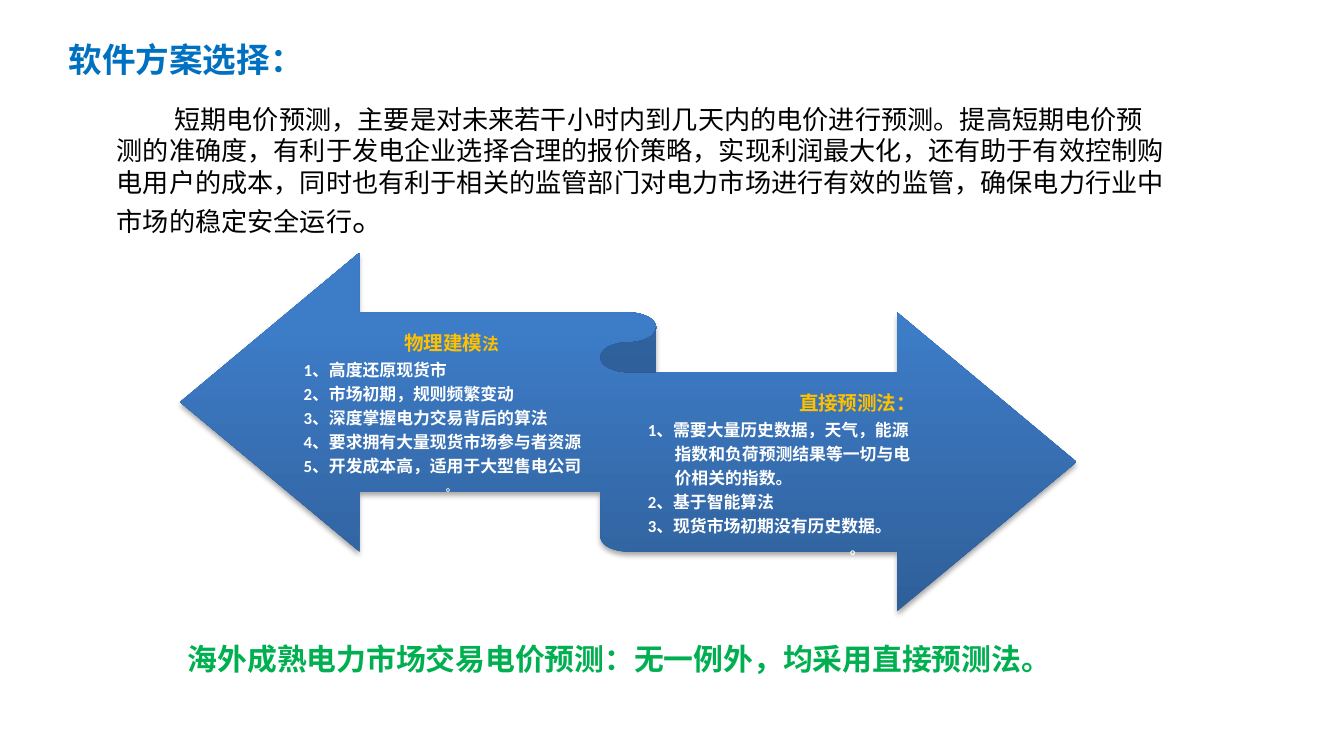
"""Build the slide on choosing a software approach for electricity price forecasting."""
from lxml.etree import SubElement
from pptx import Presentation
from pptx.dml.color import RGBColor
from pptx.enum.shapes import MSO_SHAPE
from pptx.enum.text import MSO_ANCHOR, PP_ALIGN
from pptx.oxml.ns import qn
from pptx.util import Inches, Pt

BLUE = RGBColor(0x00, 0x70, 0xC0)
GREEN = RGBColor(0x00, 0xB0, 0x50)
GOLD = RGBColor(0xFF, 0xC0, 0x00)
WHITE = RGBColor(0xFF, 0xFF, 0xFF)
BLACK = RGBColor(0x00, 0x00, 0x00)
RIBBON_STOPS = [(0, RGBColor(0x2F, 0x5F, 0x99)), (0.8, RGBColor(0x3D, 0x7C, 0xC7))]

TITLE = "软件方案选择："
INTRO = (
    "短期电价预测，主要是对未来若干小时内到几天内的电价进行预测。"
    "提高短期电价预测的准确度，有利于发电企业选择合理的报价策略，实现利润最大化，"
    "还有助于有效控制购电用户的成本，同时也有利于相关的监管部门对电力市场进行有效的监管，"
    "确保电力行业中市场的稳定安全运行"
)
CONCLUSION = "海外成熟电力市场交易电价预测：无一例外，均采用直接预测法。"
METHODS = [
    {
        "area": (2.26, 2.43, 2.2, 1.31),
        "bottom": 0.05,
        "heading": [("物理建模", 10.5), ("法", 9)],
        "lines": [
            ("1、高度还原现货市", 0),
            ("2、市场初期，规则频繁变动", 0),
            ("3、深度掌握电力交易背后的算法", 0),
            ("4、要求拥有大量现货市场参与者资源", 0),
            ("5、开发成本高，适用于大型售电公司", 0),
        ],
        "stop_size": 6,
    },
    {
        "area": (4.82, 2.97, 3.12, 1.31),
        "bottom": 0.21,
        "heading": [("直接预测法：", 10.5)],
        "lines": [
            ("1、需要大量历史数据，天气，能源", 0),
            ("指数和负荷预测结果等一切与电", 0.2),
            ("价相关的指数。", 0.2),
            ("2、基于智能算法", 0),
            ("3、现货市场初期没有历史数据。", 0),
        ],
        "stop_size": 8,
    },
]


def add_box(slide, area, margins=(0.1, 0.05, 0.1, 0.05), anchor=MSO_ANCHOR.TOP, wrap=True):
    frame = slide.shapes.add_textbox(*map(Inches, area)).text_frame
    frame.word_wrap = wrap
    frame.vertical_anchor = anchor
    frame.margin_left, frame.margin_top, frame.margin_right, frame.margin_bottom = map(Inches, margins)
    return frame


def style(font, size, color, bold=True, name="Calibri"):
    font.size, font.bold, font.name = Pt(size), bold, name
    font.color.rgb = color


def add_spans(para, spans, color, bold=True):
    for text, size in spans:
        span = para.add_run()
        span.text = text
        style(span.font, size, color, bold)


def add_ribbon(slide):
    ribbon = slide.shapes.add_shape(
        MSO_SHAPE.LEFT_RIGHT_RIBBON, Inches(1.34), Inches(1.88), Inches(6.67), Inches(2.67))
    ribbon.line.fill.background()
    ribbon.fill.gradient()
    ribbon.fill.gradient_angle = 90
    for stop, (position, color) in zip(ribbon.fill.gradient_stops, RIBBON_STOPS):
        stop.position = position
        stop.color.rgb = color
    ribbon.shadow.inherit = False
    effects = ribbon._element.spPr.find(qn("a:effectLst"))
    shadow = SubElement(effects, qn("a:outerShdw"), blurRad=str(Pt(3.1)), dist=str(Pt(1.8)),
                        dir="5400000", rotWithShape="0")
    shade = SubElement(shadow, qn("a:srgbClr"), val="000000")
    SubElement(shade, qn("a:alpha"), val="35000")


def add_method(slide, method):
    frame = add_box(slide, method["area"], (0, 0.04, 0, method["bottom"]), MSO_ANCHOR.MIDDLE)
    heading = frame.paragraphs[0]
    heading.alignment = PP_ALIGN.CENTER
    heading.space_after = Pt(3.7)
    add_spans(heading, method["heading"], GOLD)
    for text, indent in method["lines"]:
        para = frame.add_paragraph()
        para.text = text
        para._p.get_or_add_pPr().set("marL", str(Inches(indent)))
        para.space_after = Pt(3.15)
        style(para.font, 9, WHITE)
    size = method["stop_size"]
    closing = frame.add_paragraph()
    closing.text = "。"
    closing.alignment = PP_ALIGN.CENTER
    closing.space_after = Pt(size * 0.35)
    style(closing.font, size, WHITE)
    for para in frame.paragraphs:
        para.line_spacing = 0.9


def main():
    deck = Presentation()
    deck.slide_width = Inches(10)
    deck.slide_height = deck.slide_width * 9 // 16
    slide = deck.slides.add_slide(deck.slide_layouts[6])

    title = add_box(slide, (0.51, 0.29, 1.65, 0.3), (0, 0, 0, 0), MSO_ANCHOR.MIDDLE).paragraphs[0]
    title.text = TITLE
    style(title.font, 18, BLUE, name="Roboto Condensed")

    conclusion = add_box(slide, (1.3, 4.72, 6.99, 0.37), wrap=False).paragraphs[0]
    conclusion.text = CONCLUSION
    style(conclusion.font, 16, GREEN)

    add_ribbon(slide)
    for method in METHODS:
        add_method(slide, method)

    intro = add_box(slide, (0.77, 0.72, 8.03, 1.11)).paragraphs[0]
    intro._p.get_or_add_pPr().set("indent", str(Inches(0.43)))
    add_spans(intro, [(INTRO, 14), ("。", 18)], BLACK, bold=False)

    deck.save("out.pptx")


if __name__ == "__main__":
    main()
